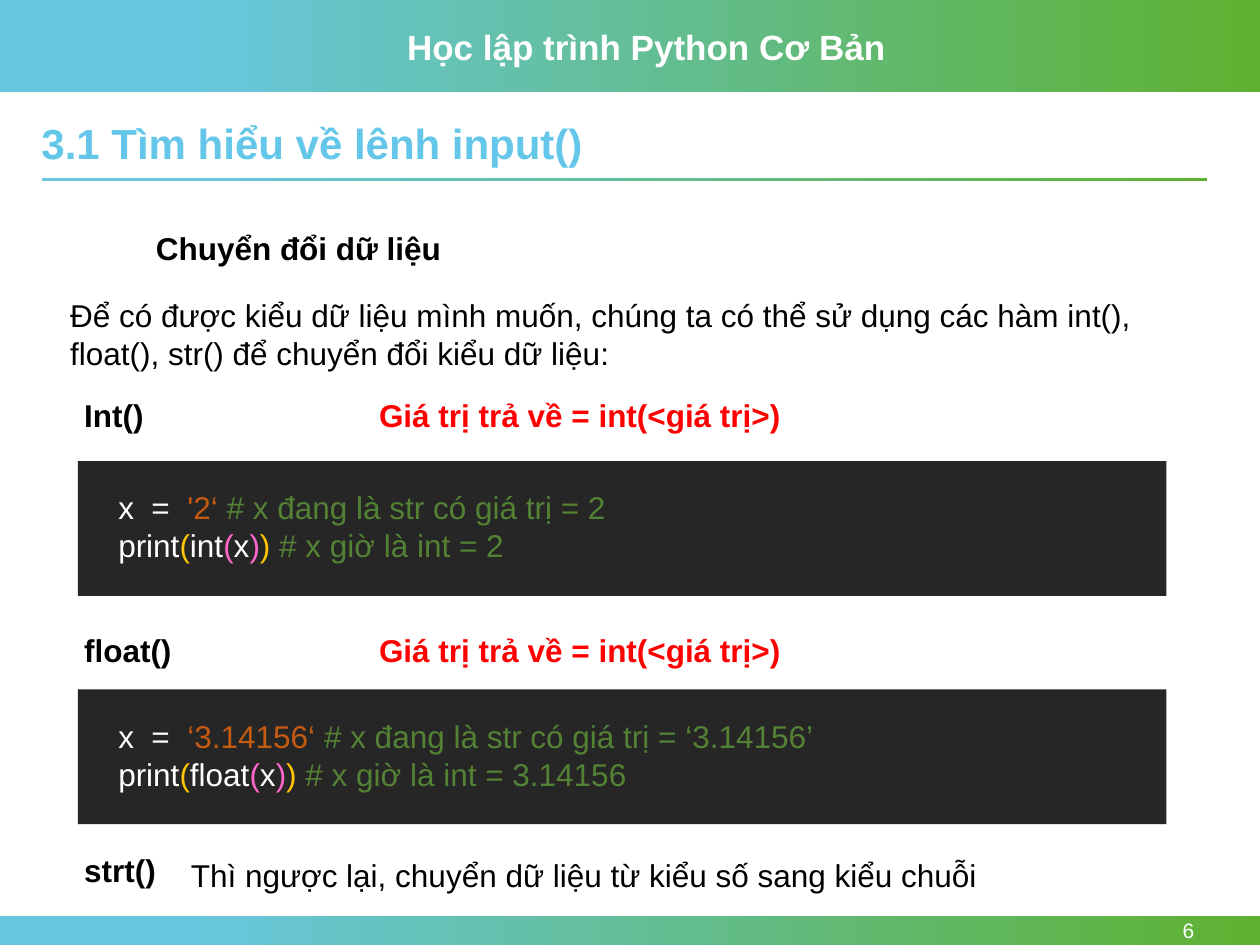
from pptx import Presentation
from pptx.dml.color import RGBColor
from pptx.enum import shapes, text
from pptx.util import Pt

BLUE, GREEN = "67C7DF", "5EB130"
WHITE, BLACK, RED = "FFFFFF", "000000", "FF0000"
STRING, COMMENT, OUTER, INNER = "C55A11", "548235", "FFC500", "FF66CC"


def rgb(value):
    return RGBColor.from_string(value)


def write(shape, runs, size=18, bold=False, align=text.PP_ALIGN.LEFT,
          anchor=text.MSO_ANCHOR.TOP):
    """Fill a shape with lines of (wording, colour) runs; None breaks the line."""
    frame = shape.text_frame
    frame.word_wrap = True
    frame.auto_size = text.MSO_AUTO_SIZE.NONE
    frame.vertical_anchor = anchor
    paragraph = frame.paragraphs[0]
    paragraph.alignment = align
    for item in runs:
        if item is None:
            paragraph.add_line_break()
            continue
        run = paragraph.add_run()
        run.text, colour = item
        run.font.name = "Arial"
        run.font.size = Pt(size)
        run.font.bold = bold
        run.font.color.rgb = rgb(colour)
    return paragraph


presentation = Presentation()
presentation.slide_width, presentation.slide_height = Pt(720), Pt(540)
slide = presentation.slides.add_slide(presentation.slide_layouts[5])

# Header band, footer band and the rule under the title
for left, top, width, height in [(0, 0, 720, 52.5), (0, 523.5, 720, 16.5),
                                 (24, 101.5, 666, 2)]:
    band = slide.shapes.add_shape(shapes.MSO_SHAPE.RECTANGLE,
                                  Pt(left), Pt(top), Pt(width), Pt(height))
    band.shadow.inherit = False
    band.line.fill.background()
    band.fill.gradient()
    band.fill.gradient_angle = 0
    for stop, (position, colour) in zip(band.fill.gradient_stops,
                                        [(0.15, BLUE), (1, GREEN)]):
        stop.position = position
        stop.color.rgb = rgb(colour)

# Course name and slide number
course = slide.shapes.add_textbox(Pt(225.5), Pt(11), Pt(290), Pt(31.5))
write(course, [("Học lập trình Python Cơ Bản", WHITE)], size=20, bold=True)
number = slide.shapes.add_textbox(Pt(623.5), Pt(523.5), Pt(66), Pt(16.5))
write(number, [("6", WHITE)], size=12, align=text.PP_ALIGN.RIGHT,
      anchor=text.MSO_ANCHOR.MIDDLE)

# Title
title = slide.shapes.title
title.left, title.top, title.width, title.height = Pt(16.5), Pt(67), Pt(666), Pt(33)
paragraph = write(title, [("3.1 Tìm hiểu về lênh input()", "64C7E9")], size=24, bold=True)
paragraph.line_spacing = 0.9

# Headings and explanations: left, top, width, height, wording, colour, bold
syntax = "Giá trị trả về = int(<giá trị>)"
for left, top, width, height, wording, colour, bold in [
    (82, 127.5, 325, 29, "Chuyển đổi dữ liệu", BLACK, True),
    (33, 165.5, 633, 51, "Để có được kiểu dữ liệu mình muốn, chúng ta có thể sử dụng "
     "các hàm int(), float(), str() để chuyển đổi kiểu dữ liệu:", BLACK, False),
    (41, 223, 70.5, 29, "Int()", BLACK, True),
    (209.5, 223, 291.5, 29, syntax, RED, True),
    (41, 357, 70.5, 29, "float()", BLACK, True),
    (209.5, 357, 291.5, 29, syntax, RED, True),
    (41, 483, 70.5, 29, "strt()", BLACK, True),
    (102, 485.5, 605.5, 29, "Thì ngược lại, chuyển dữ liệu từ kiểu số sang kiểu chuỗi",
     BLACK, False),
]:
    box = slide.shapes.add_textbox(Pt(left), Pt(top), Pt(width), Pt(height))
    write(box, [(wording, colour)], bold=bold)

# Code panels: top, function, string value, two comments
for top, function, value, before, after in [
    (263.5, "int", "'2‘ ", "# x đang là str có giá trị = 2", "# x giờ là int = 2"),
    (394, "float", "‘3.14156‘ ", "# x đang là str có giá trị = ‘3.14156’",
     "# x giờ là int = 3.14156"),
]:
    panel = slide.shapes.add_shape(shapes.MSO_SHAPE.RECTANGLE,
                                   Pt(44.5), Pt(top), Pt(622), Pt(77))
    panel.shadow.inherit = False
    panel.fill.solid()
    panel.fill.fore_color.rgb = rgb("262626")
    panel.line.fill.background()
    code = slide.shapes.add_textbox(Pt(60.5), Pt(top + 12), Pt(578), Pt(51))
    write(code, [
        ("x  =  ", WHITE), (value, STRING), (before, COMMENT), None,
        ("print", WHITE), ("(", OUTER), (function, WHITE), ("(", INNER),
        ("x", WHITE), (")", INNER), (") ", OUTER), (after, COMMENT),
    ])

presentation.save("out.pptx")
